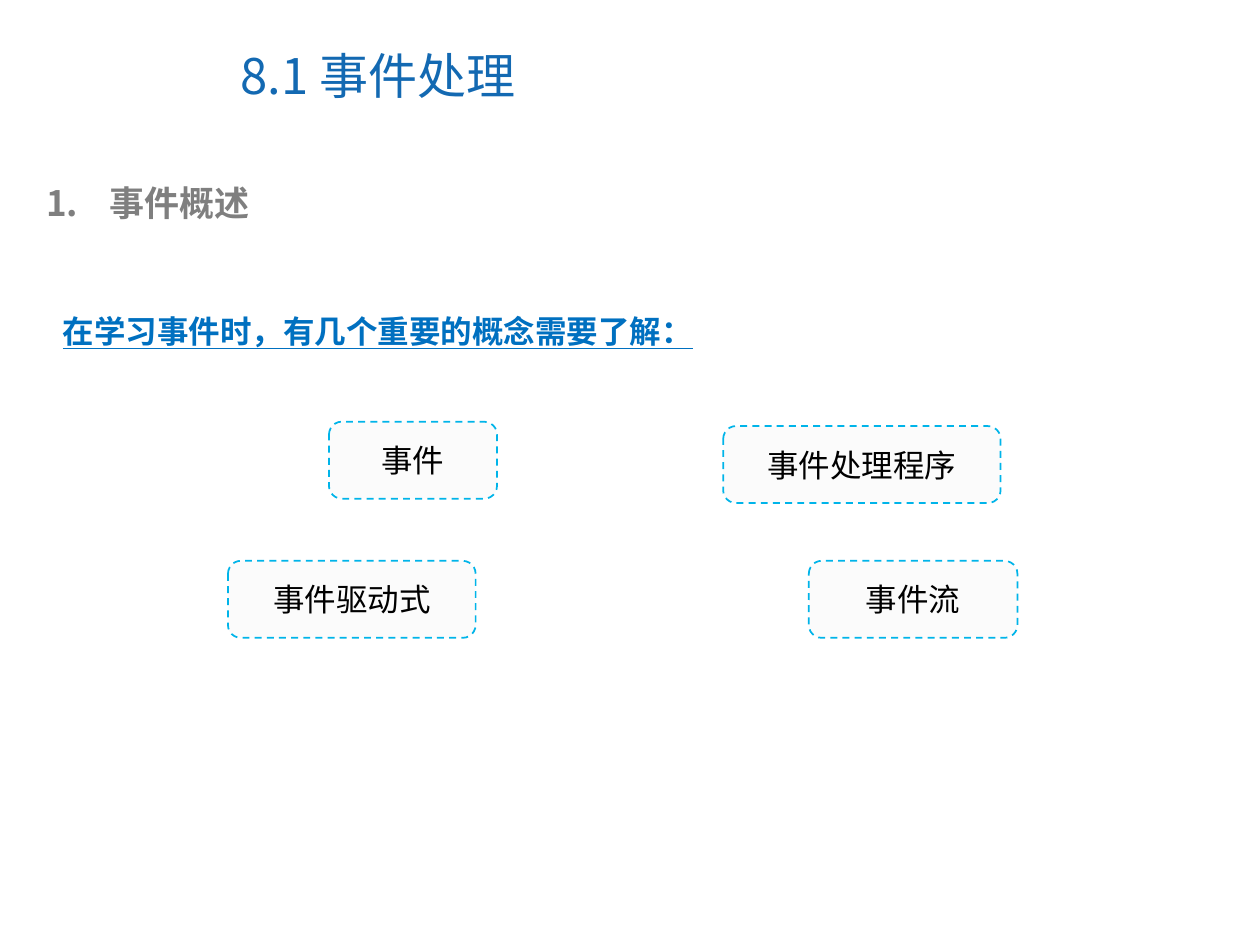
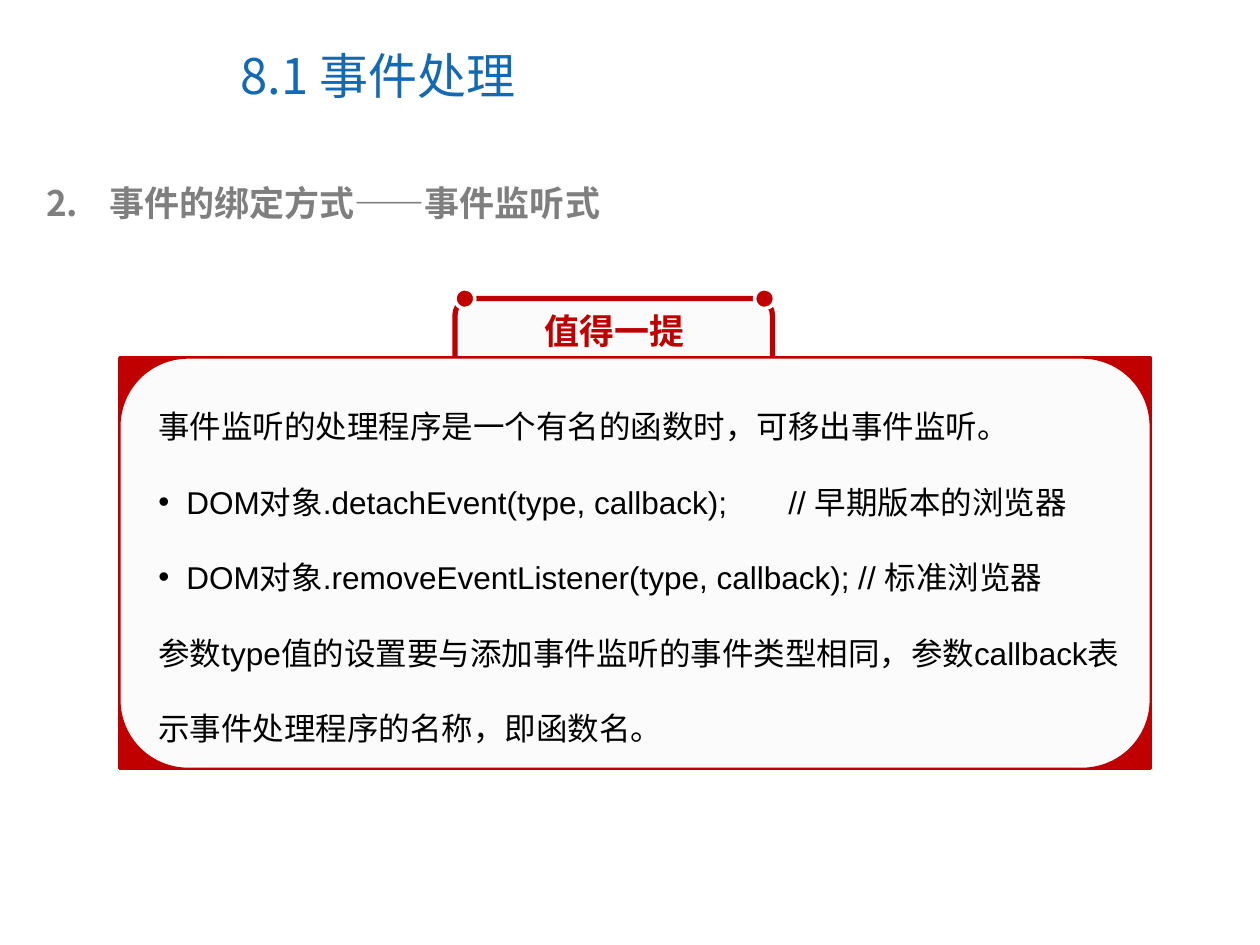
from lxml.etree import SubElement
from pptx import Presentation
from pptx.dml.color import RGBColor
from pptx.enum.dml import MSO_LINE
from pptx.enum.shapes import MSO_SHAPE as SHAPE
from pptx.enum.text import MSO_ANCHOR as ANCHOR, MSO_AUTO_SIZE as AUTO, PP_ALIGN as ALIGN
from pptx.oxml.ns import qn
from pptx.util import Pt

COLORS = {
    "title": "1369B2", "heading": "7F7F7F", "lead": "0070C0", "text": "000000",
    "panel": "FBFBFB", "dash": "00B4E9", "red": "C00000", "white": "FFFFFF",
}
CJK = "Noto Sans CJK SC"
LATIN = "Arial"


def rgb(name):
    return RGBColor.from_string(COLORS[name])


def add_bullet(p, color, indent, char=None, start=1, tab=None):
    """Give a paragraph a hanging bullet, or a number when char is None."""
    pPr = p._p.get_or_add_pPr()
    pPr.set("marL", str(Pt(indent)))
    pPr.set("indent", str(-Pt(indent)))
    clr = SubElement(pPr, qn("a:buClr"))
    SubElement(clr, qn("a:srgbClr"), val=COLORS[color])
    if char:
        SubElement(pPr, qn("a:buFont"), typeface=LATIN)
        SubElement(pPr, qn("a:buChar"), char=char)
    else:
        SubElement(pPr, qn("a:buAutoNum"), type="arabicPeriod", startAt=str(start))
    if tab:
        tabs = SubElement(pPr, qn("a:tabLst"))
        SubElement(tabs, qn("a:tab"), pos=str(Pt(tab)), algn="l")


def write(p, text, size=18, color="text", font=LATIN, bold=False,
          underline=False, align=ALIGN.LEFT, spacing=None, bullet=None):
    p.alignment = align
    if spacing:
        p.line_spacing = spacing
    if bullet:
        add_bullet(p, color, **bullet)
    r = p.add_run()
    r.text = text
    f = r.font
    f.name, f.size, f.bold, f.underline = font, Pt(size), bold, underline
    f.color.rgb = rgb(color)
    SubElement(r._r.get_or_add_rPr(), qn("a:ea"), typeface=CJK)


def add_text(s, box, text, wrap=True, **fmt):
    tf = s.shapes.add_textbox(*map(Pt, box)).text_frame
    tf.word_wrap = wrap
    write(tf.paragraphs[0], text, **fmt)
    return tf


def add_box(s, kind, box, fill, line, width):
    sp = s.shapes.add_shape(kind, *map(Pt, box))
    sp.shadow.inherit = False
    sp.fill.solid()
    sp.fill.fore_color.rgb = rgb(fill)
    sp.line.color.rgb = rgb(line)
    sp.line.width = Pt(width)
    return sp


def add_concept(s, box, text):
    sp = add_box(s, SHAPE.ROUNDED_RECTANGLE, box, "panel", "dash", 1)
    sp.line.dash_style = MSO_LINE.DASH
    tf = sp.text_frame
    tf.word_wrap = True
    tf.vertical_anchor = ANCHOR.MIDDLE
    write(tf.paragraphs[0], text, align=ALIGN.CENTER)


def add_section_slide(prs, number, heading):
    """Slide with the chapter title and a numbered heading."""
    s = prs.slides.add_slide(prs.slide_layouts[5])
    title = s.shapes.title
    title.left, title.top, title.width, title.height = map(Pt, (130.3, 12.2, 371.5, 61.2))
    tf = title.text_frame
    tf.auto_size = AUTO.NONE
    tf.vertical_anchor = ANCHOR.MIDDLE
    write(tf.paragraphs[0], "8.1 事件处理", size=28, color="title", font=CJK)
    add_text(s, (19.4, 100, 664, 31.7), heading, size=20, color="heading",
             font=CJK, bold=True, bullet=dict(indent=36, start=number))
    return s


def build_overview(prs):
    s = add_section_slide(prs, 1, "事件概述")
    add_text(s, (28.8, 153.4, 661.7, 50.4), "在学习事件时，有几个重要的概念需要了解：",
             color="lead", bold=True, underline=True, spacing=2)
    concepts = [
        ("事件", 188, 241, 96), ("事件处理程序", 413.3, 243.5, 158.5),
        ("事件驱动式", 130.3, 320.5, 141.5), ("事件流", 462.2, 320.5, 119.2),
    ]
    for text, left, top, width in concepts:
        add_concept(s, (left, top, width, 44), text)


def build_listener(prs):
    s = add_section_slide(prs, 2, "事件的绑定方式——事件监听式")
    # Tab behind the panel
    add_box(s, SHAPE.ROUNDED_RECTANGLE, (260, 170.6, 181.4, 56.9), "panel", "red", 3)
    # Panel with red corners
    panel = (68.4, 204.5, 589, 234.7)
    add_box(s, SHAPE.FLOWCHART_PROCESS, panel, "red", "red", 2)
    add_box(s, SHAPE.FLOWCHART_ALTERNATE_PROCESS, panel, "panel", "red", 1)
    # Pins and label of the tab
    for left in (260, 431.2):
        add_box(s, SHAPE.OVAL, (left, 165, 11.3, 11.3), "red", "white", 2)
    add_text(s, (303.8, 173.5, 94.3, 31.7), "值得一提", wrap=False,
             size=20, color="red", font=CJK, bold=True)
    # Notes
    dot = dict(indent=16, char="•", tab=360)
    tf = add_text(s, (83.5, 207.4, 573.8, 223.2),
                  "事件监听的处理程序是一个有名的函数时，可移出事件监听。", spacing=2)
    for text, bullet in [
        ("DOM对象.detachEvent(type, callback);\t// 早期版本的浏览器", dot),
        ("DOM对象.removeEventListener(type, callback); // 标准浏览器", dot),
        ("参数type值的设置要与添加事件监听的事件类型相同，参数callback"
         "表示事件处理程序的名称，即函数名。", None),
    ]:
        write(tf.add_paragraph(), text, spacing=2, bullet=bullet)


def main():
    prs = Presentation()
    prs.slide_width, prs.slide_height = Pt(720), Pt(540)
    build_overview(prs)
    build_listener(prs)
    prs.save("out.pptx")


if __name__ == "__main__":
    main()
